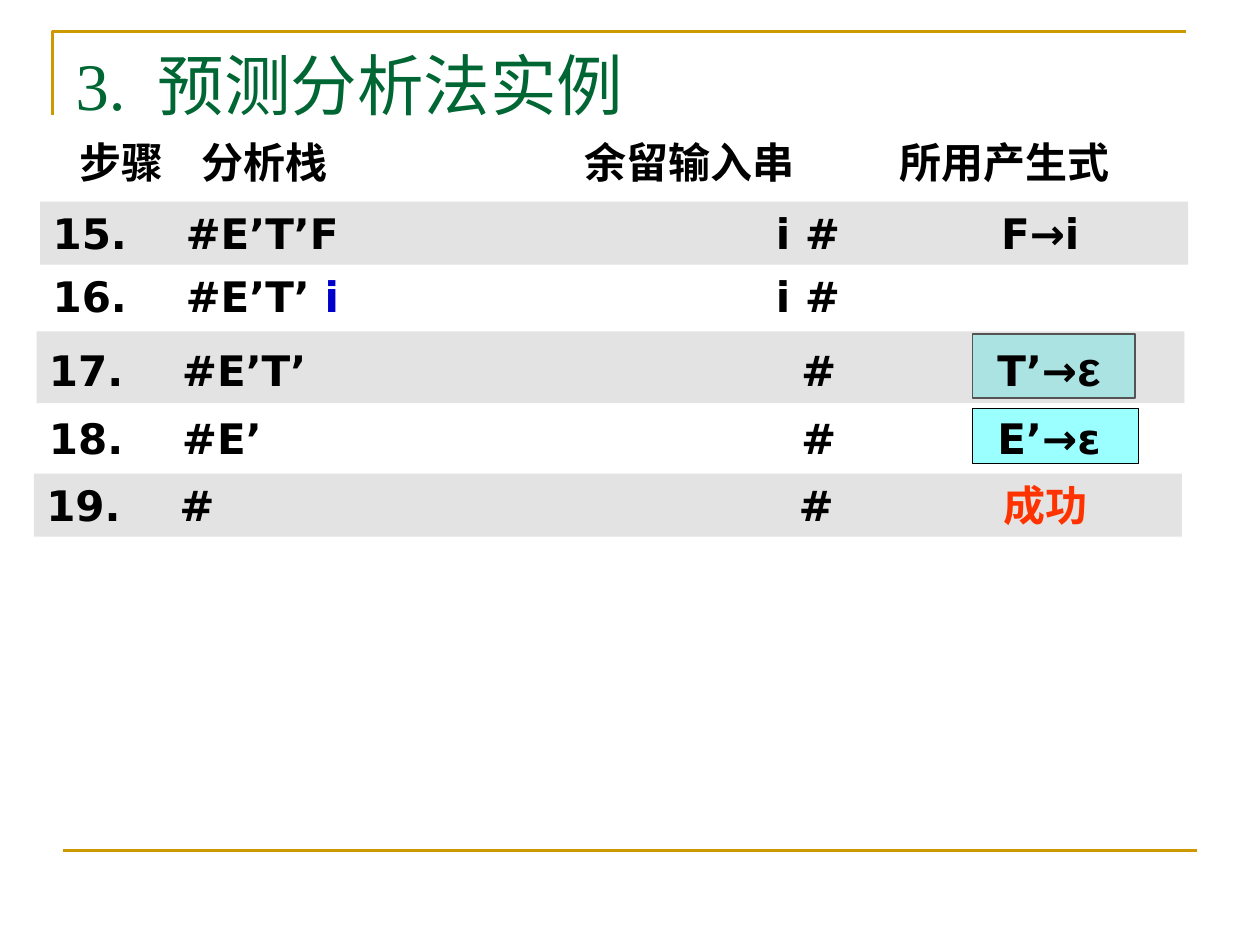
import pptx
import pptx.util
import pptx.oxml
import pptx.oxml.ns
import pptx.dml.color
import pptx.enum.shapes
import pptx.enum.text
from lxml import etree

Pt = pptx.util.Pt
RGBColor = pptx.dml.color.RGBColor
RECT = pptx.enum.shapes.MSO_SHAPE.RECTANGLE
qn = pptx.oxml.ns.qn

GOLD = RGBColor(0xCC, 0x99, 0x00)
GREEN = RGBColor(0x00, 0x66, 0x33)
BLACK = RGBColor(0x00, 0x00, 0x00)
BLUE = RGBColor(0x00, 0x00, 0xCC)
ORANGE = RGBColor(0xFF, 0x33, 0x00)
CYAN = RGBColor(0x00, 0xFF, 0xFF)
GREY = RGBColor(0xC0, 0xC0, 0xC0)

SANS = "DejaVu Sans"
BAR_WIDTH = 656
HEADER_TABS = [(70, "l"), (288.5, "l"), (468.5, "l")]


def row_tabs(production=542):
    """Stack is left-aligned, remaining input ends flush right."""
    return [(76, "l"), (450, "r"), (production, "l")]


def set_tabs(p, tabs):
    tab_list = etree.SubElement(p._p.get_or_add_pPr(), qn("a:tabLst"))
    for pos, align in tabs:
        etree.SubElement(tab_list, qn("a:tab"), pos=str(int(Pt(pos))), algn=align)


def add_run(p, text, color=BLACK, size=24, font=SANS, bold=True):
    r = p.add_run()
    r.text = text
    r.font.size = Pt(size)
    r.font.name = font
    r.font.bold = bold
    r.font.color.rgb = color


def set_fill(sp, color, opacity):
    sp.shadow.inherit = False
    sp.fill.solid()
    sp.fill.fore_color.rgb = color
    clr = sp.fill._xPr.find(".//" + qn("a:srgbClr"))
    etree.SubElement(clr, qn("a:alpha"), val=str(opacity * 1000))


def set_line(sp, color, width):
    sp.line.color.rgb = color
    sp.line.width = Pt(width)


def add_frame(s):
    builder = s.shapes.build_freeform(Pt(30), Pt(66))
    builder.add_line_segments([(Pt(30), Pt(18)), (Pt(678), Pt(18))], close=False)
    corner = builder.convert_to_shape()
    corner.fill.background()
    corner.shadow.inherit = False
    set_line(corner, GOLD, 1.5)
    rule = s.shapes.add_connector(
        pptx.enum.shapes.MSO_CONNECTOR.STRAIGHT, Pt(36), Pt(486), Pt(684), Pt(486))
    set_line(rule, GOLD, 1.5)
    etree.SubElement(rule._element.spPr, qn("a:effectLst"))


def add_highlight(s, x, y, w, h):
    sp = s.shapes.add_shape(RECT, Pt(x), Pt(y), Pt(w), Pt(h))
    set_fill(sp, CYAN, 39)
    set_line(sp, BLACK, 0.75)


def add_title(s, number, text):
    sp = s.shapes.title
    sp.left, sp.top, sp.width, sp.height = Pt(36), Pt(21.6), Pt(648), Pt(90)
    tf = sp.text_frame
    tf.vertical_anchor = pptx.enum.text.MSO_ANCHOR.TOP
    p = tf.paragraphs[0]
    p.alignment = pptx.enum.text.PP_ALIGN.LEFT
    set_tabs(p, [(47, "l")])
    add_run(p, f"{number}\t{text}", GREEN, 38, "Times New Roman", False)


def add_row(s, x, y, h, tabs, runs, shaded=False):
    """One tabbed line; each run is its text plus any add_run settings."""
    box = (Pt(x), Pt(y), Pt(BAR_WIDTH), Pt(h))
    if shaded:
        sp = s.shapes.add_shape(RECT, *box)
        set_fill(sp, GREY, 44)
        sp.line.fill.background()
    else:
        sp = s.shapes.add_textbox(*box)
    tf = sp.text_frame
    tf.word_wrap = True
    tf.vertical_anchor = pptx.enum.text.MSO_ANCHOR.TOP
    p = tf.paragraphs[0]
    p.alignment = pptx.enum.text.PP_ALIGN.LEFT
    set_tabs(p, tabs)
    for text, style in runs:
        add_run(p, text, **style)


def main():
    prs = pptx.Presentation()
    prs.slide_width, prs.slide_height = Pt(720), Pt(540)
    s = prs.slides.add_slide(prs.slide_layouts[5])
    add_frame(s)
    add_highlight(s, 555.8, 233.3, 95, 31.7)
    add_highlight(s, 555.8, 190.8, 92.9, 36.7)
    add_title(s, "3.", "预测分析法实例")

    add_row(s, 38.2, 74.2, 36, HEADER_TABS,
            [("步骤\t分析栈\t余留输入串\t所用产生式", {"font": "Arial"})])
    tabs = row_tabs()
    add_row(s, 23, 115.2, 36, tabs, [("15.\t#E’T’F\ti #\tF→i", {})], shaded=True)
    add_row(s, 23, 151.2, 36, tabs,
            [("16.\t#E’T’ ", {}), ("i", {"color": BLUE}), ("\ti #", {})])
    add_row(s, 20.9, 189.4, 41, tabs,
            [("17.\t#E’T’\t#\tT’→", {}), ("ε", {"size": 28, "font": "Arial"}),
             (" ", {})], shaded=True)
    add_row(s, 20.9, 228.2, 41, tabs,
            [("18.\t#E’\t#\tE’→ε", {}),
             (" ", {"size": 28, "font": "Arial", "bold": False})])
    add_row(s, 19.4, 270.7, 36, row_tabs(production=547),
            [("19.\t#\t#\t", {}), ("成功", {"color": ORANGE})], shaded=True)
    prs.save("out.pptx")


if __name__ == "__main__":
    main()
